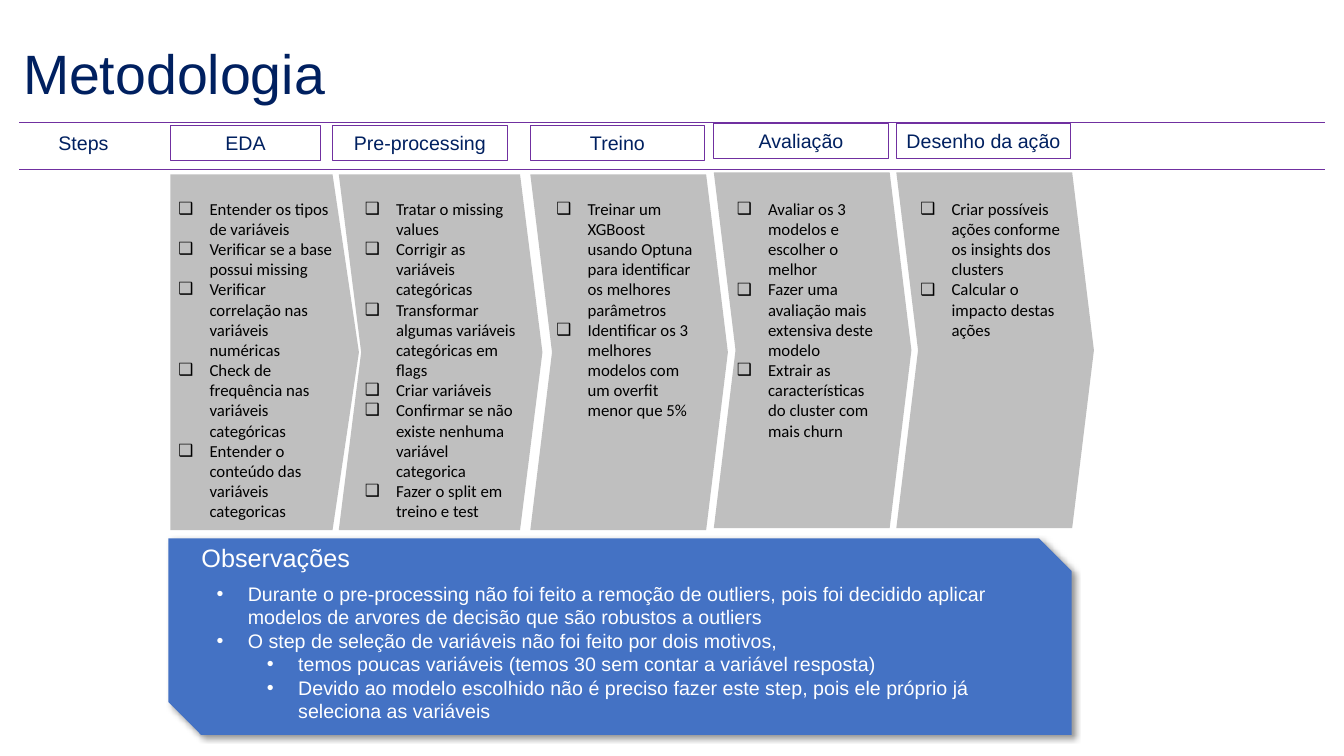
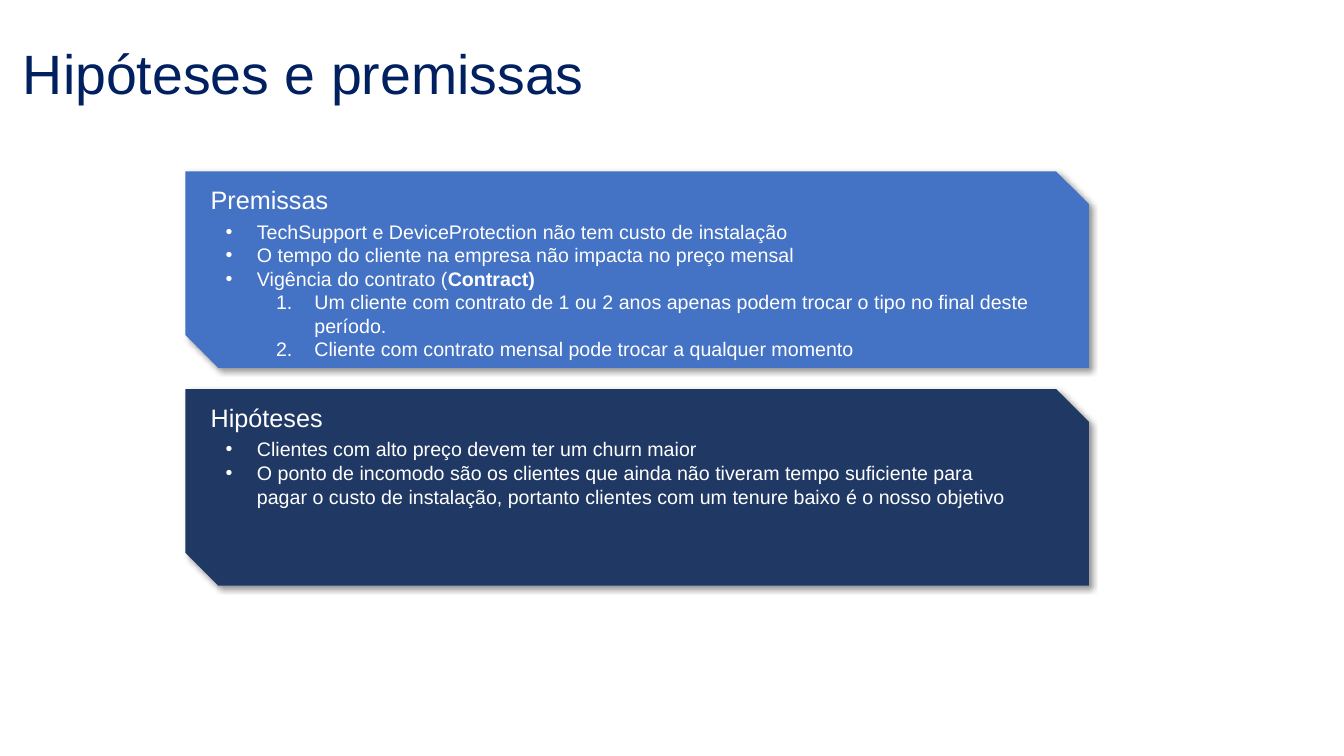
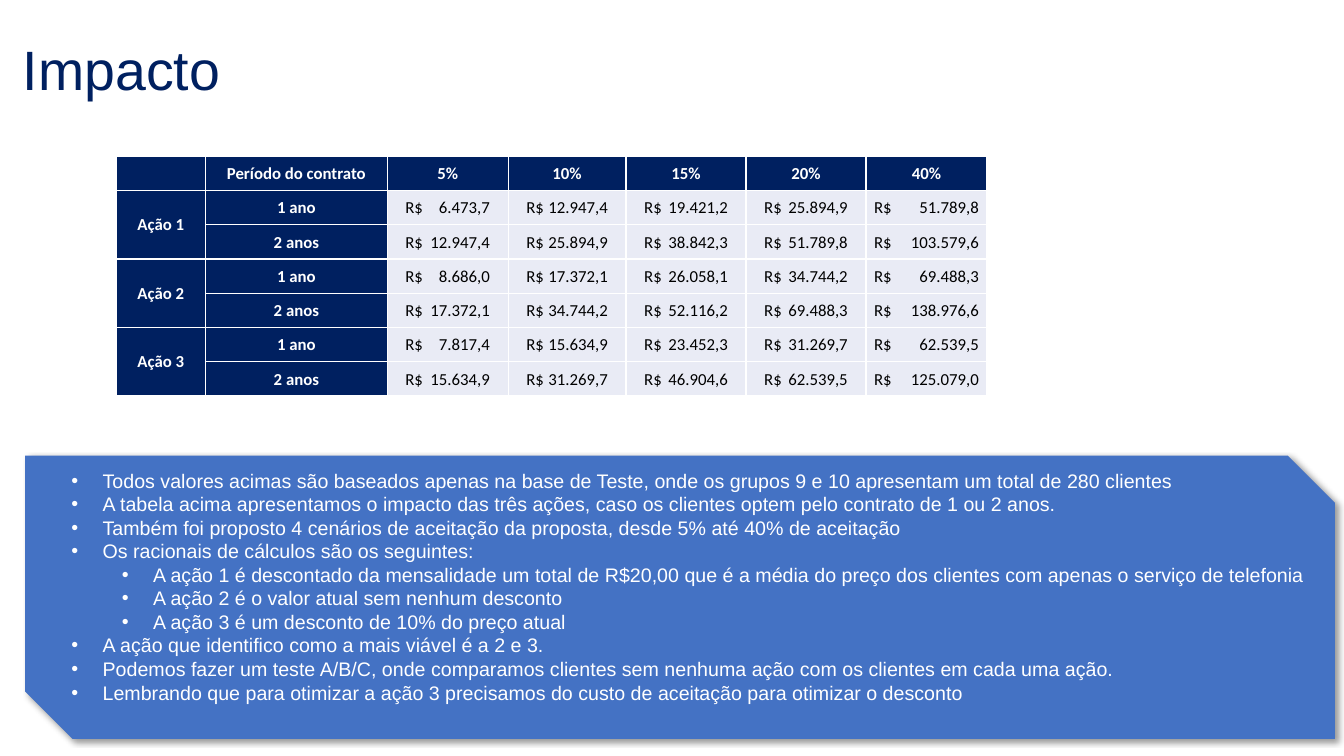
from dataclasses import dataclass
from lxml.etree import SubElement
from pptx import Presentation
from pptx.dml.color import RGBColor
from pptx.enum.shapes import MSO_CONNECTOR, MSO_SHAPE
from pptx.enum.text import MSO_ANCHOR, MSO_AUTO_SIZE, PP_ALIGN
from pptx.oxml.ns import qn
from pptx.util import Inches, Pt


@dataclass(frozen=True)
class Theme:
    navy: str = "002060"
    deep: str = "203864"
    blue: str = "4472C4"
    purple: str = "7030A0"
    gray: str = "BFBFBF"
    pale: str = "E9EBF5"
    white: str = "FFFFFF"
    black: str = "000000"
    sans: str = "Arial"
    body: str = "Calibri"
    title: float = 39.6
    head: int = 18
    text: int = 14
    small: int = 12


T = Theme()
HEAD = dict(name=T.sans, size=T.head, color=T.white)
NOTE = dict(name=T.sans, size=T.text, color=T.white)
LABEL = dict(name=T.sans, size=T.text, color=T.navy)
TASK = dict(name=T.body, size=T.small, color=T.black)
KEY = dict(name=T.body, size=T.small, color=T.white, bold=True)

deck = Presentation()
deck.slide_width, deck.slide_height = Inches(13.33), Inches(7.5)


# Shared helpers
def add_run(para, text, style):
    run = para.add_run()
    run.text = text
    for key, val in style.items():
        if key == "color":
            run.font.color.rgb = RGBColor.from_string(val)
        else:
            setattr(run.font, key, Pt(val) if key == "size" else val)


def set_all(item, **vals):
    for key, val in vals.items():
        setattr(item, key, val)


def add_box(slide, box):
    frame = slide.shapes.add_textbox(*map(Inches, box)).text_frame
    set_all(frame, word_wrap=True, auto_size=MSO_AUTO_SIZE.SHAPE_TO_FIT_TEXT)
    return frame


def add_text(slide, box, text, style):
    add_run(add_box(slide, box).paragraphs[0], text, style)


def add_shape(slide, kind, box, fill=None, line=None):
    shape = slide.shapes.add_shape(kind, *map(Inches, box))
    shape.shadow.inherit = False
    if fill:
        shape.fill.solid()
        shape.fill.fore_color.rgb = RGBColor.from_string(fill)
    else:
        shape.fill.background()
    if line:
        shape.line.color.rgb = RGBColor.from_string(line)
        shape.line.width = Pt(0.75)
    else:
        shape.line.fill.background()
    return shape


def add_rule(slide, x, y, end):
    line = slide.shapes.add_connector(
        MSO_CONNECTOR.STRAIGHT, *map(Inches, (x, y, end, y)))
    line.line.color.rgb = RGBColor.from_string(T.purple)
    line.line.width = Pt(0.5)
    SubElement(line._element.spPr, qn("a:effectLst"))


def add_list(slide, box, items, style, mark="•", sub="•"):
    """Lay out a list; a nested list is one level down, *marks bold*."""
    frame = add_box(slide, box)
    rows = []
    for item in items:
        if isinstance(item, list):
            rows += [(1, text) for text in item]
        else:
            rows.append((0, item))
    for i, (level, text) in enumerate(rows):
        para = frame.add_paragraph() if i else frame.paragraphs[0]
        para.level = level
        sign = sub if level else mark
        hang = 0.38 if sign == "1." else 0.31
        props = para._p.get_or_add_pPr()
        props.set("marL", str(Inches(hang + 0.5 * level)))
        props.set("indent", str(-Inches(hang)))
        if sign == "1.":
            SubElement(props, qn("a:buAutoNum"), type="arabicPeriod")
        else:
            SubElement(props, qn("a:buFont"), typeface=T.sans)
            SubElement(props, qn("a:buChar"), char=sign)
        for j, part in enumerate(text.split("*")):
            add_run(para, part, {**style, "bold": j % 2 == 1})


def new_slide(title, width=6.26, space=0.9):
    slide = deck.slides.add_slide(deck.slide_layouts[6])
    frame = slide.shapes.add_textbox(
        *map(Inches, (0.13, 0.45, width, 0.61))).text_frame
    set_all(frame, word_wrap=True, vertical_anchor=MSO_ANCHOR.MIDDLE)
    frame.paragraphs[0].line_spacing = space
    add_run(frame.paragraphs[0], title,
            dict(name=T.sans, size=T.title, color=T.navy))
    return slide


# Snipped panel with a soft shadow
def add_panel(slide, box, fill=T.blue):
    shape = add_shape(slide, MSO_SHAPE.SNIP_2_DIAG_RECTANGLE, box, fill)
    effect = shape._element.spPr.find(qn("a:effectLst"))
    glow = SubElement(effect, qn("a:outerShdw"), blurRad=str(Pt(4)),
                      dist=str(Pt(3)), dir="2700000", algn="tl", rotWithShape="0")
    color = SubElement(glow, qn("a:srgbClr"), val=T.black)
    SubElement(color, qn("a:alpha"), val="40000")


def add_topic(slide, box, head, items, high, fill=T.blue,
              shift=(0.15, 0.08), drop=0.35, sub="•"):
    x, y = box[0] + shift[0], box[1] + shift[1]
    add_panel(slide, box, fill)
    add_text(slide, (x, y, 2.38, 0.4), head, HEAD)
    add_list(slide, (x + 0.15, y + drop, 8.17, high), items, NOTE, sub=sub)


# One step: label, arrow and task list
def add_step(slide, box, name, wide, arrow, tasks, items):
    x, y, width, height = box
    label = add_shape(slide, MSO_SHAPE.RECTANGLE, (x, y, wide, 0.34),
                      line=T.purple)
    frame = label.text_frame
    set_all(frame, word_wrap=False, vertical_anchor=MSO_ANCHOR.TOP)
    frame.paragraphs[0].alignment = PP_ALIGN.CENTER
    add_run(frame.paragraphs[0], name, LABEL)
    kind, shift, bend = arrow
    shape = add_shape(slide, kind, (x + shift, y + 0.48, width, height - 0.48),
                      T.gray)
    shape.adjustments[0] = bend
    left, span, high = tasks
    add_list(slide, (x + left, 1.92, span, high), items, TASK, mark="❑")


# Table of values with merged row heads
def add_grid(slide, box, widths, heads, groups):
    table = slide.shapes.add_table(
        1 + 2 * len(groups), len(widths), *map(Inches, box)).table
    set_all(table, first_row=False, horz_banding=False)
    for col, width in zip(table.columns, widths):
        col.width = Inches(width)
    for row in table.rows:
        row.height = Inches(0.34)
    rows = [["", *heads]]
    for name, pair in groups:
        for term, vals in zip(("1 ano", "2 anos"), pair):
            rows.append([name if term == "1 ano" else "", term, *vals.split()])
    for r, row in enumerate(rows):
        for c, text in enumerate(row):
            fill_cell(table.cell(r, c), text, r and c > 1, widths[c],
                      0.08 if c == len(widths) - 1 else 0.18)
    for r in range(1, len(rows), 2):
        table.cell(r, 0).merge(table.cell(r + 1, 0))


def fill_cell(cell, text, money, width, inset):
    set_all(cell, vertical_anchor=MSO_ANCHOR.MIDDLE,
            margin_left=Inches(inset if money else 0.01),
            margin_right=Inches(0.01), margin_top=Inches(0.01), margin_bottom=0)
    cell.fill.solid()
    cell.fill.fore_color.rgb = RGBColor.from_string(T.pale if money else T.navy)
    props = cell._tc.get_or_add_tcPr()
    for i, side in enumerate(("lnL", "lnR", "lnT", "lnB")):
        edge = SubElement(props, qn("a:" + side), w=str(Pt(1)))
        paint = SubElement(edge, qn("a:solidFill"))
        SubElement(paint, qn("a:srgbClr"), val=T.white)
        props.insert(i, edge)
    para = cell.text_frame.paragraphs[0]
    if money:
        tabs = SubElement(para._p.get_or_add_pPr(), qn("a:tabLst"))
        SubElement(tabs, qn("a:tab"), pos=str(Inches(width - 2 * inset)), algn="r")
        add_run(para, "R$\t" + text, TASK)
    elif text:
        para.alignment = PP_ALIGN.CENTER
        add_run(para, text, KEY)


# Slide 1: method
slide = new_slide("Metodologia", 3.62)
for y in (1.21, 1.68):
    add_rule(slide, 0.19, y, 13.14)
add_text(slide, (0.48, 1.25, 1.09, 0.34), "Steps", LABEL)
PLATE = (MSO_SHAPE.PENTAGON, 0, 0.14)
CHEV = (MSO_SHAPE.CHEVRON, 0, 0.11)
STEPS = [
    ((1.69, 1.25, 1.87, 4.01), "EDA", 1.49, PLATE, (-0.02, 1.74, 3.33), [
        "Entender os tipos de variáveis",
        "Verificar se a base possui missing",
        "Verificar correlação nas variáveis numéricas",
        "Check de frequência nas variáveis categóricas",
        "Entender o conteúdo das variáveis categoricas"]),
    ((3.3, 1.25, 2.02, 4.01), "Pre-processing", 1.73,
     (MSO_SHAPE.CHEVRON, 0.06, 0.11), (0.22, 1.74, 3.33), [
        "Tratar o missing values",
        "Corrigir as variáveis categóricas",
        "Transformar algumas variáveis categóricas em flags",
        "Criar variáveis",
        "Confirmar se não existe nenhuma variável categorica",
        "Fazer o split em treino e test"]),
    ((5.26, 1.25, 1.96, 4.01), "Treino", 1.73, CHEV, (0.16, 1.6, 2.32), [
        "Treinar um XGBoost usando Optuna para identificar os melhores parâmetros",
        "Identificar os 3 melhores modelos com um overfit menor que 5%"]),
    ((7.08, 1.23, 1.96, 4.01), "Avaliação", 1.73, CHEV, (0.13, 1.6, 2.52), [
        "Avaliar os 3 modelos e escolher o melhor",
        "Fazer uma avaliação mais extensiva deste modelo",
        "Extrair as características do cluster com mais churn"]),
    ((8.89, 1.23, 1.96, 4.01), "Desenho da ação", 1.73, CHEV, (0.14, 1.6, 1.51), [
        "Criar possíveis ações conforme os insights dos clusters",
        "Calcular o impacto destas ações"]),
]
for step in STEPS:
    add_step(slide, *step)
add_topic(slide, (1.67, 5.34, 8.96, 1.95), "Observações", [
    "Durante o pre-processing não foi feito a remoção de outliers, pois foi "
    "decidido aplicar modelos de arvores de decisão que são robustos a outliers",
    "O step de seleção de variáveis não foi feito por dois motivos,",
    ["temos poucas variáveis (temos 30 sem contar a variável resposta)",
     "Devido ao modelo escolhido não é preciso fazer este step, pois ele "
     "próprio já seleciona as variáveis"],
], 1.51, shift=(0.23, -0.01), drop=0.39)

# Slide 2: premises and hypotheses
slide = new_slide("Hipóteses e premissas")
add_topic(slide, (1.84, 1.7, 8.96, 1.95), "Premissas", [
    "TechSupport e DeviceProtection não tem custo de instalação",
    "O tempo do cliente na empresa não impacta no preço mensal",
    "Vigência do contrato (*Contract)",
    ["Um cliente com contrato de 1 ou 2 anos apenas podem trocar o tipo no "
     "final deste período.",
     "Cliente com contrato mensal pode trocar a qualquer momento"],
], 1.75, sub="1.")
add_topic(slide, (1.84, 3.86, 8.96, 1.95), "Hipóteses", [
    "Clientes com alto preço devem ter um churn maior",
    "O ponto de incomodo são os clientes que ainda não tiveram tempo suficiente "
    "para pagar o custo de instalação, portanto clientes com um tenure baixo é "
    "o nosso objetivo",
], 1.04, fill=T.deep)

# Slide 3: impact
slide = new_slide("Impacto", space=0.7)
add_panel(slide, (0.25, 4.52, 12.99, 2.81))
add_list(slide, (0.61, 4.6, 12.62, 2.69), [
    "Todos valores acimas são baseados apenas na base de Teste, onde os grupos "
    "9 e 10 apresentam um total de 280 clientes",
    "A tabela acima apresentamos o impacto das três ações, caso os clientes "
    "optem pelo contrato de 1 ou 2 anos.",
    "Também foi proposto 4 cenários de aceitação da proposta, desde 5% até 40% "
    "de aceitação",
    "Os racionais de cálculos são os seguintes:",
    ["A ação 1 é descontado da mensalidade um total de R$20,00 que é a média do "
     "preço dos clientes com apenas o serviço de telefonia",
     "A ação 2 é o valor atual sem nenhum desconto",
     "A ação 3 é um desconto de 10% do preço atual"],
    "A ação que identifico como a mais viável é a 2 e 3.",
    "Podemos fazer um teste A/B/C, onde comparamos clientes sem nenhuma ação com "
    "os clientes em cada uma ação.",
    "Lembrando que para otimizar a ação 3 precisamos do custo de aceitação para "
    "otimizar o desconto",
], NOTE)
add_grid(slide, (1.15, 1.55, 8.64, 2.38),
         (0.89, 1.8, 1.2, 1.17, 1.19, 1.19, 1.2),
         ("Período do contrato", "5%", "10%", "15%", "20%", "40%"), [
    ("Ação 1", ("6.473,7 12.947,4 19.421,2 25.894,9 51.789,8",
                "12.947,4 25.894,9 38.842,3 51.789,8 103.579,6")),
    ("Ação 2", ("8.686,0 17.372,1 26.058,1 34.744,2 69.488,3",
                "17.372,1 34.744,2 52.116,2 69.488,3 138.976,6")),
    ("Ação 3", ("7.817,4 15.634,9 23.452,3 31.269,7 62.539,5",
                "15.634,9 31.269,7 46.904,6 62.539,5 125.079,0")),
])

deck.save("out.pptx")
